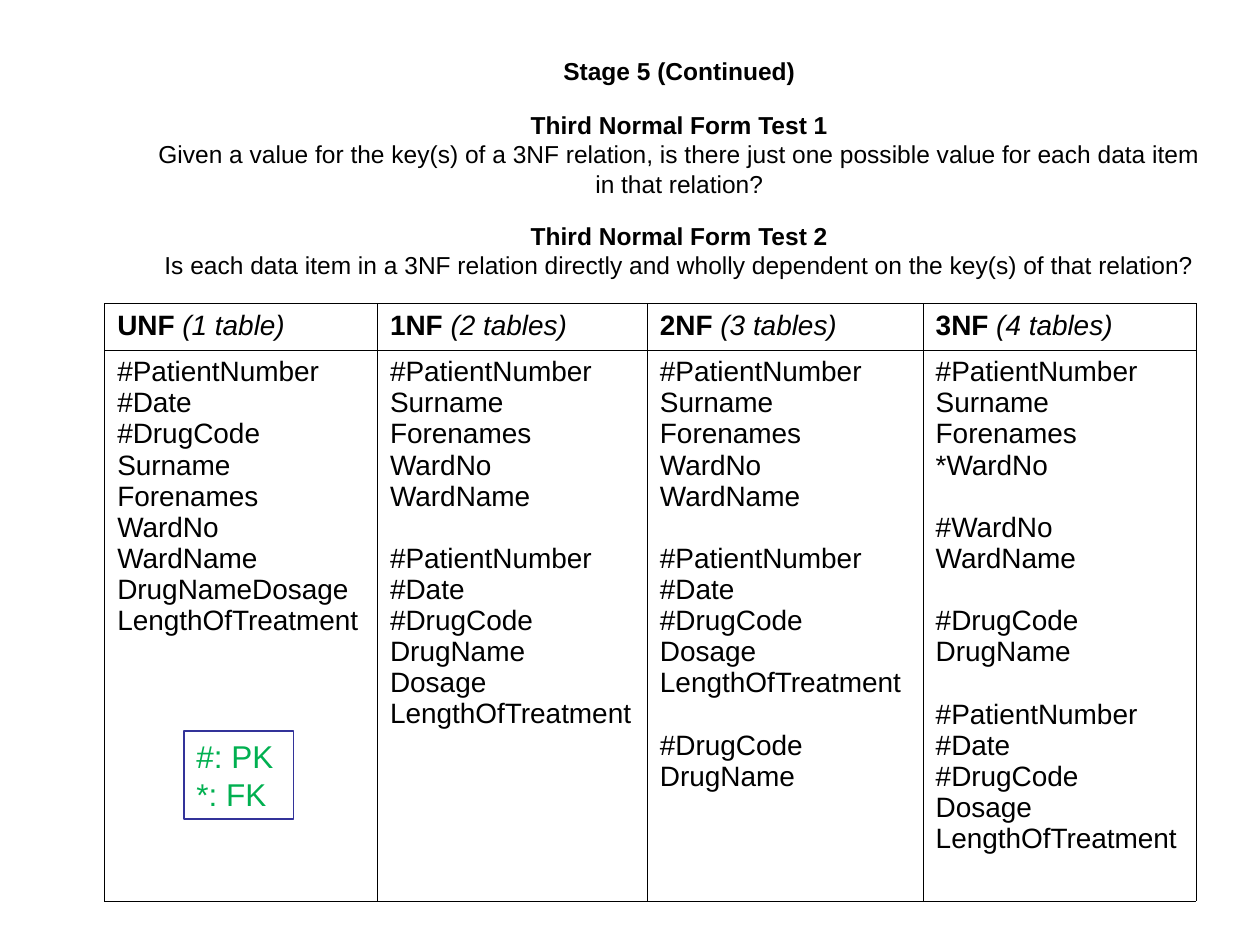
from lxml import etree
from pptx import Presentation
from pptx.dml.color import RGBColor
from pptx.enum.shapes import MSO_SHAPE
from pptx.enum.text import MSO_ANCHOR, PP_ALIGN
from pptx.oxml.ns import qn
from pptx.util import Cm, Pt

RECT = MSO_SHAPE.RECTANGLE
MIDDLE = MSO_ANCHOR.MIDDLE
LEFT, CENTER = PP_ALIGN.LEFT, PP_ALIGN.CENTER
COLORS = {"ink": "000000", "paper": "FFFFFF", "edge": "333399", "key": "00B050"}

TESTS = [
    ("Stage 5 (Continued)", True, 0),
    ("Third Normal Form Test 1", True, 14),
    ("Given a value for the key(s) of a 3NF relation, is there just one "
     "possible value for each data item in that relation?", False, 0),
    ("Third Normal Form Test 2", True, 12.7),
    ("Is each data item in a 3NF relation directly and wholly dependent "
     "on the key(s) of that relation?", False, 0),
]

PATIENT = ["#PatientNumber", "Surname", "Forenames", "WardNo", "WardName"]
DRUG = ["#DrugCode", "DrugName"]
DOSE = ["#PatientNumber", "#Date", "#DrugCode", "Dosage", "LengthOfTreatment"]
FORMS = [
    ("UNF ", "(1 table)", 5.5,
     [DOSE[:3] + PATIENT[1:] + ["DrugNameDosage", "LengthOfTreatment"]]),
    ("1NF ", "(2 tables)", 5.44,
     [PATIENT, DOSE[:3] + ["DrugName"] + DOSE[3:]]),
    ("2NF ", "(3 tables)", 5.56, [PATIENT, DOSE, DRUG]),
    ("3NF ", "(4 tables)", 5.5,
     [PATIENT[:3] + ["*WardNo"], ["#WardNo", "WardName"], DRUG, DOSE]),
]


class Deck:
    font = "Arial"

    def __init__(self, slide):
        self.slide = slide

    def color(self, name):
        return RGBColor.from_string(COLORS[name])

    def style(self, para, size, color="ink", bold=False, align=LEFT):
        para.alignment = align
        for run in para.runs:
            run.font.name = self.font
            run.font.size = Pt(size)
            run.font.bold = bold
            run.font.color.rgb = self.color(color)

    def title(self, box, rows):
        frame = self.slide.shapes.add_textbox(*map(Cm, box)).text_frame
        frame.word_wrap = True
        frame.vertical_anchor = MIDDLE
        frame.margin_left = Cm(1.75)
        frame.margin_bottom = Cm(0.6)
        frame.text = "\n".join(text for text, bold, gap in rows)
        for para, (text, bold, gap) in zip(frame.paragraphs, rows):
            self.style(para, 14, bold=bold, align=CENTER)
            para.space_before = Pt(gap)

    def border(self, cell):
        props = cell._tc.get_or_add_tcPr()
        for side in ("a:lnL", "a:lnR", "a:lnT", "a:lnB"):
            line = etree.SubElement(props, qn(side), w=str(Pt(0.45)))
            fill = etree.SubElement(line, qn("a:solidFill"))
            etree.SubElement(fill, qn("a:srgbClr"), val=COLORS["ink"])

    def head(self, cell, name, count):
        para = cell.text_frame.paragraphs[0]
        para.text = name
        para.add_run().text = count
        self.style(para, 16)
        para.runs[0].font.bold = True
        para.runs[1].font.italic = True

    def body(self, cell, groups):
        cell.text_frame.text = "\n".join("\n".join(group) for group in groups)
        paras = cell.text_frame.paragraphs
        for para in paras:
            self.style(para, 16)
        start = 0
        for group in groups[:-1]:
            start += len(group)
            paras[start].space_before = Pt(17.8)

    def table(self, left, top, heights, forms):
        width = sum(form[2] for form in forms)
        box = map(Cm, (left, top, width, sum(heights)))
        table = self.slide.shapes.add_table(2, len(forms), *box).table
        table.first_row = table.horz_banding = False
        for row, height in zip(table.rows, heights):
            row.height = Cm(height)
        for col, (name, count, wide, groups) in enumerate(forms):
            table.columns[col].width = Cm(wide)
            self.head(table.cell(0, col), name, count)
            self.body(table.cell(1, col), groups)
        for cell in table.iter_cells():
            self.border(cell)
            cell.fill.background()

    def legend(self, box, text):
        shape = self.slide.shapes.add_shape(RECT, *map(Cm, box))
        shape.shadow.inherit = False
        shape.fill.solid()
        shape.fill.fore_color.rgb = self.color("paper")
        shape.line.color.rgb = self.color("edge")
        shape.line.width = Pt(1)
        shape.text_frame.text = text
        for para in shape.text_frame.paragraphs:
            self.style(para, 18, "key")


def main():
    show = Presentation()
    show.slide_width, show.slide_height = Cm(25.4), Cm(19.05)
    deck = Deck(show.slides.add_slide(show.slide_layouts[6]))
    deck.title((1.3, 0.99, 23.29, 5.26), TESTS)
    deck.table(2.11, 6.12, (0.94, 11.1), FORMS)
    deck.legend((3.71, 14.73, 2.21, 1.78), "#: PK\n*: FK")
    show.save("out.pptx")


if __name__ == "__main__":
    main()
